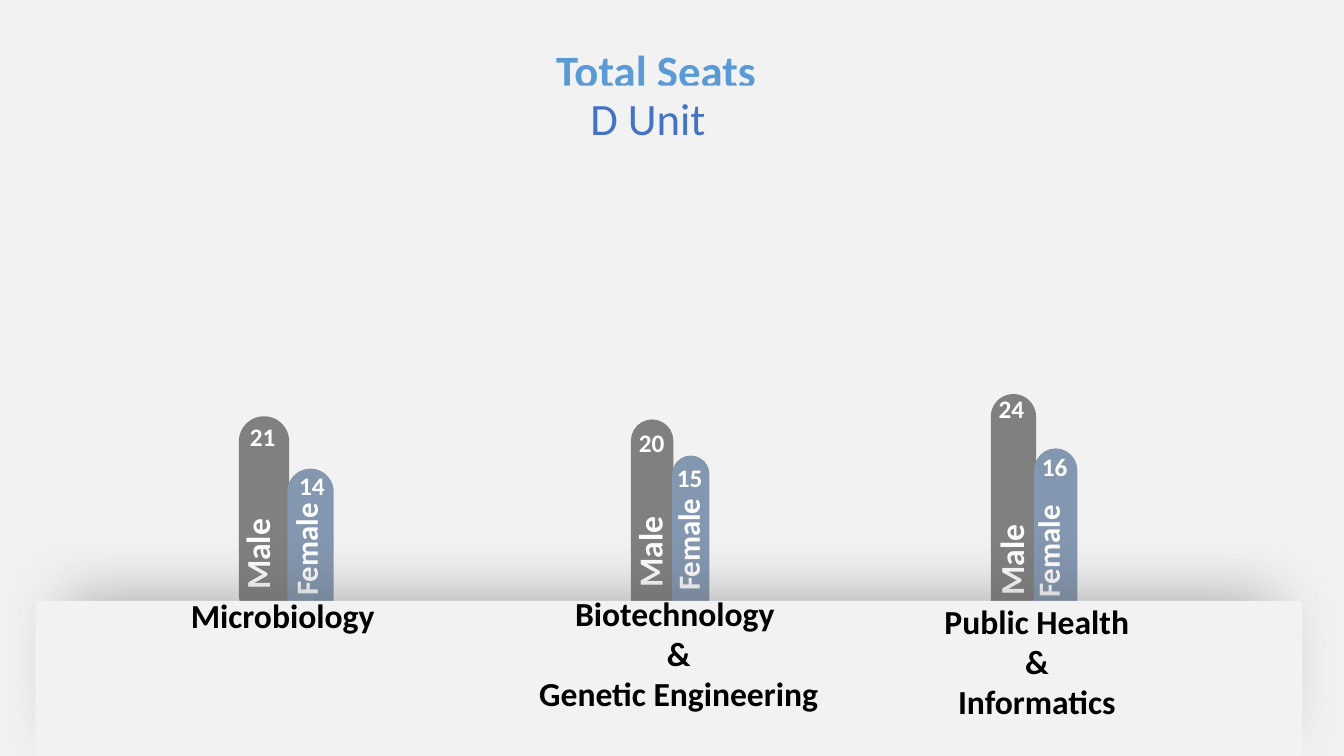
from lxml import etree
from pptx import Presentation
from pptx import util as u
from pptx.dml import color
from pptx.enum import shapes, text
from pptx.oxml import ns

PAPER, GREY, BLUE, WHITE, BLACK = "F2F2F2", "808080", "8497B0", "FFFFFF", "000000"
SEXES = {
    "Male": dict(fill=GREY, size=24, word_size=(2.84, 1.27), wrap=True),
    "Female": dict(fill=BLUE, size=22, word_size=(2.87, 1.19), wrap=False),
}
UNITS = [
    dict(name=["Microbiology"], name_box=(4.42, 14.86, 5.41, 1.27), bars=[
        ("Male", "21", (6.02, 10.49, 1.27, 5.13), (5.05, 13.06), (6.05, 10.49)),
        ("Female", "14", (7.24, 11.81, 1.17, 4.04), (6.27, 13.23), (7.29, 11.73))]),
    dict(name=["Biotechnology ", "&", "Genetic Engineering"], name_box=(13.13, 14.81, 7.95, 3.33), bars=[
        ("Male", "20", (15.9, 10.57, 1.07, 5.08), (14.94, 13.0), (15.85, 10.64)),
        ("Female", "15", (16.94, 11.48, 0.94, 4.39), (15.9, 13.11), (16.81, 11.53))]),
    dict(name=["Public Health", "&", "Informatics"], name_box=(22.56, 15.01, 7.14, 3.33), bars=[
        ("Male", "24", (24.97, 9.93, 1.14, 5.94), (24.05, 13.21), (24.92, 9.78)),
        ("Female", "16", (26.06, 11.3, 1.09, 4.65), (24.97, 13.28), (26.01, 11.25))]),
]
VALUE_SIZE = (1.27, 1.02)
SUBTITLE_STOPS = [(0, "203864"), (50, "4472C4"), (100, "8FAADC")]


def rgb(value):
    return color.RGBColor.from_string(value)


def cm(box):
    return [u.Cm(length) for length in box]


def add_block(kind, box, fill):
    block = slide.shapes.add_shape(kind, *cm(box))
    block.shadow.inherit = False
    block.fill.solid()
    block.fill.fore_color.rgb = rgb(fill)
    block.line.fill.background()
    return block


def write(holder, lines, size, tint, bold=True, align=text.PP_ALIGN.CENTER, wrap=True):
    frame = holder.text_frame
    frame.word_wrap = wrap
    frame.auto_size = text.MSO_AUTO_SIZE.NONE
    frame.vertical_anchor = text.MSO_ANCHOR.TOP
    for index, line in enumerate(lines):
        paragraph = frame.add_paragraph() if index else frame.paragraphs[0]
        paragraph.alignment = align
        run = paragraph.add_run()
        run.text = line
        run.font.name, run.font.size, run.font.bold = "Calibri", u.Pt(size), bold
        run.font.color.rgb = rgb(tint)
    return run


def add_text(box, lines, size, tint, rotation=0, **style):
    holder = slide.shapes.add_textbox(*cm(box))
    holder.rotation = rotation
    write(holder, lines, size, tint, **style)


def child(parent, tag, **attributes):
    return etree.SubElement(parent, ns.qn(tag), {key: str(value) for key, value in attributes.items()})


def add_shadow(block, tint, alpha, blur, distance, angle):
    effects = block.element.spPr.find(ns.qn("a:effectLst"))
    shadow = child(effects, "a:outerShdw", blurRad=u.Pt(blur), dist=u.Pt(distance),
                   dir=angle * 60000, algn="b", rotWithShape=0)
    child(child(shadow, "a:srgbClr", val=tint), "a:alpha", val=alpha * 1000)


def add_gradient(run, stops, angle):
    properties = run.font._element
    properties.remove(properties.find(ns.qn("a:solidFill")))
    gradient = etree.Element(ns.qn("a:gradFill"))
    properties.insert(0, gradient)
    stop_list = child(gradient, "a:gsLst")
    for position, tint in stops:
        child(child(stop_list, "a:gs", pos=position * 1000), "a:srgbClr", val=tint)
    child(gradient, "a:lin", ang=angle * 60000, scaled=0)


deck = Presentation()
deck.slide_width, deck.slide_height = cm((33.87, 19.05))
slide = deck.slides.add_slide(deck.slide_layouts[5])
slide.background.fill.solid()
slide.background.fill.fore_color.rgb = rgb(PAPER)

title = slide.shapes.title
title.left, title.top, title.width, title.height = cm((10.06, 0.94, 12.95, 1.63))
write(title, ["Total Seats"], 32, "5B9BD5")

for unit in UNITS:
    for sex, seats, bar_box, word_at, value_at in unit["bars"]:
        bar = add_block(shapes.MSO_SHAPE.ROUNDED_RECTANGLE, bar_box, SEXES[sex]["fill"])
        bar.adjustments[0] = 0.5
    for sex, seats, bar_box, word_at, value_at in unit["bars"]:
        look = SEXES[sex]
        add_text(word_at + look["word_size"], [sex], look["size"], WHITE, rotation=270,
                 align=text.PP_ALIGN.LEFT, wrap=look["wrap"])
        add_text(value_at + VALUE_SIZE, [seats], 18, WHITE, align=text.PP_ALIGN.LEFT)

ledge_shade = add_block(shapes.MSO_SHAPE.RECTANGLE, (1.68, 15.24, 30.4, 3.33), PAPER)
add_shadow(ledge_shade, "595959", alpha=50, blur=47, distance=4, angle=270)
add_block(shapes.MSO_SHAPE.RECTANGLE, (0.89, 15.14, 31.93, 3.96), PAPER)

for unit in UNITS:
    add_text(unit["name_box"], unit["name"], 24, BLACK)

subtitle = add_block(shapes.MSO_SHAPE.RECTANGLE, (12.37, 2.16, 7.92, 1.63), PAPER)
add_gradient(write(subtitle, ["D Unit"], 32, "4472C4", bold=False), SUBTITLE_STOPS, 90)

deck.save("out.pptx")
